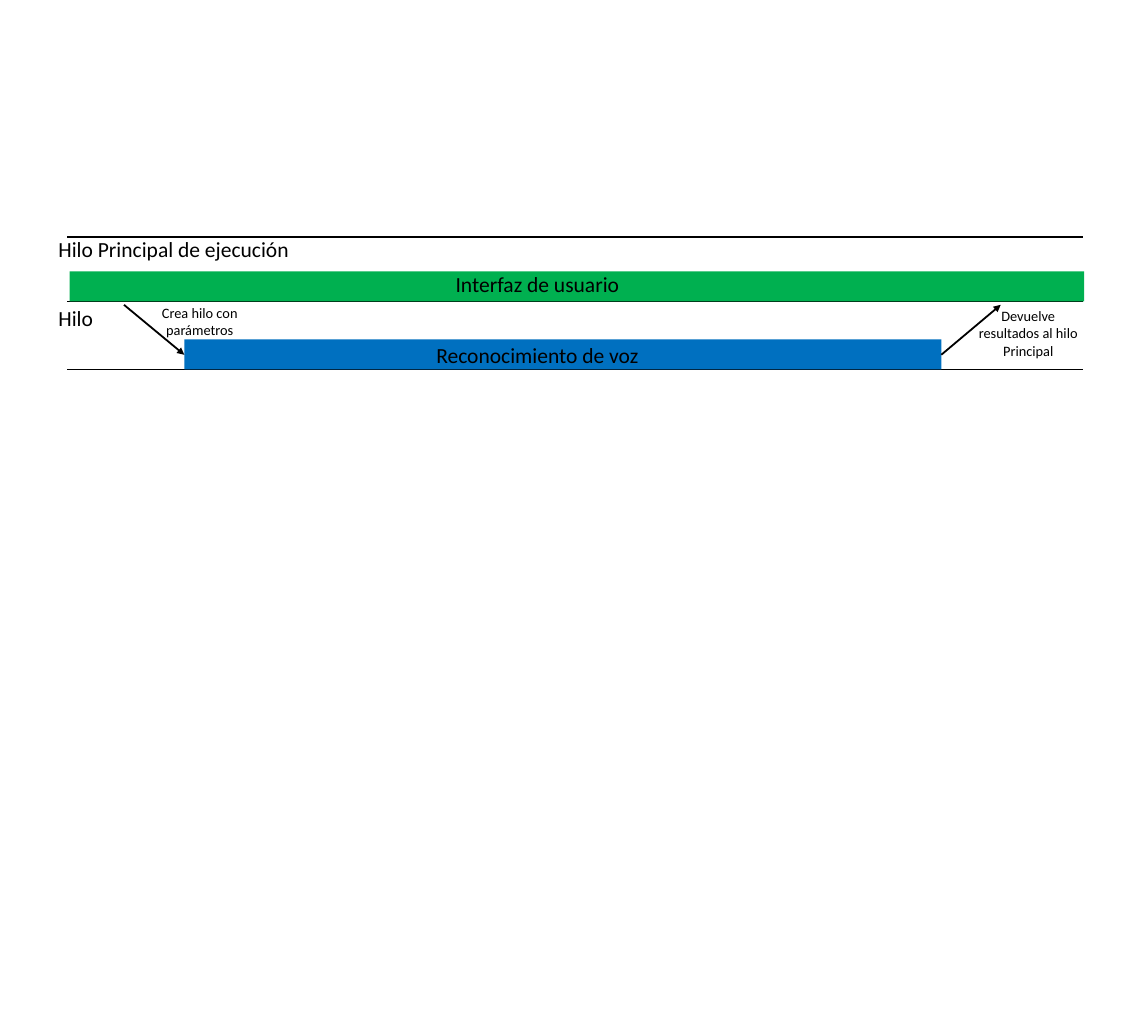
import pptx
import pptx.util
import pptx.dml.color
import pptx.enum.shapes
import pptx.enum.text
import pptx.oxml
import pptx.oxml.ns
from dataclasses import dataclass

Inches = pptx.util.Inches
Pt = pptx.util.Pt
RGB = pptx.dml.color.RGBColor.from_string
ALIGN = pptx.enum.text.PP_ALIGN
SHAPES = pptx.enum.shapes


@dataclass
class Theme:
    font: str = "Calibri"
    ink: str = "000000"
    interface: str = "00B050"
    voice: str = "0070C0"
    label: int = 18
    note: int = 12
    stroke: float = 1.5


theme = Theme()
prs = pptx.Presentation()
prs.slide_width, prs.slide_height = Inches(13.33), Inches(11.81)
s = prs.slides.add_slide(prs.slide_layouts[6])


def add_text(text, x, y, w=3.42, h=0.4, size=theme.label, align=ALIGN.CENTER):
    tf = s.shapes.add_textbox(Inches(x), Inches(y), Inches(w), Inches(h)).text_frame
    tf.word_wrap = True
    tf.auto_size = pptx.enum.text.MSO_AUTO_SIZE.SHAPE_TO_FIT_TEXT
    p = tf.paragraphs[0]
    p.alignment = align
    r = p.add_run()
    r.text = text
    r.font.name, r.font.size = theme.font, Pt(size)
    r.font.color.rgb = RGB(theme.ink)


def add_line(x1, y1, x2, y2, arrow=False):
    line = s.shapes.add_connector(
        SHAPES.MSO_CONNECTOR.STRAIGHT, Inches(x1), Inches(y1), Inches(x2), Inches(y2))
    line.line.color.rgb = RGB(theme.ink)
    line.line.width = Pt(theme.stroke)
    sp_pr = line._element.spPr
    if arrow:
        tail = pptx.oxml.parse_xml(f'<a:tailEnd {pptx.oxml.ns.nsdecls("a")} type="triangle"/>')
        line.line._get_or_add_ln().append(tail)
    sp_pr.append(pptx.oxml.parse_xml(f'<a:effectLst {pptx.oxml.ns.nsdecls("a")}/>'))


lane_left, lane_right = 0.78, 12.58
lane_top, lane_middle, lane_bottom = 2.75, 3.5, 4.29
bar_height = 0.35
voice_left, voice_right = 2.14, 10.93
arrow_top, arrow_bottom = 3.54, 4.12

for y in (lane_top, lane_middle, lane_bottom):
    add_line(lane_left, y, lane_right, y)

for x, bottom, w, color in (
    (0.81, lane_middle, 11.78, theme.interface),
    (voice_left, lane_bottom, voice_right - voice_left, theme.voice),
):
    sp = s.shapes.add_shape(
        SHAPES.MSO_SHAPE.RECTANGLE,
        Inches(x), Inches(bottom - bar_height), Inches(w), Inches(bar_height))
    sp.shadow.inherit = False
    sp.fill.solid()
    sp.fill.fore_color.rgb = RGB(color)
    sp.line.fill.background()

add_line(1.44, arrow_top, voice_left, arrow_bottom, arrow=True)
add_line(voice_right, arrow_bottom, 11.62, arrow_top, arrow=True)

add_text("Hilo Principal de ejecución", 0.58, 2.69, align=ALIGN.LEFT)
add_text("Interfaz de usuario", 4.53, 3.1)
add_text("Reconocimiento de voz", 4.53, 3.92)
add_text("Hilo", 0.58, 3.49, align=ALIGN.LEFT)
add_text("Crea hilo con parámetros", 1.6, 3.48, w=1.44, h=0.5, size=theme.note)
add_text("Devuelve resultados al hilo Principal", 11.22, 3.52, w=1.44, h=0.71, size=theme.note)

prs.save("out.pptx")
